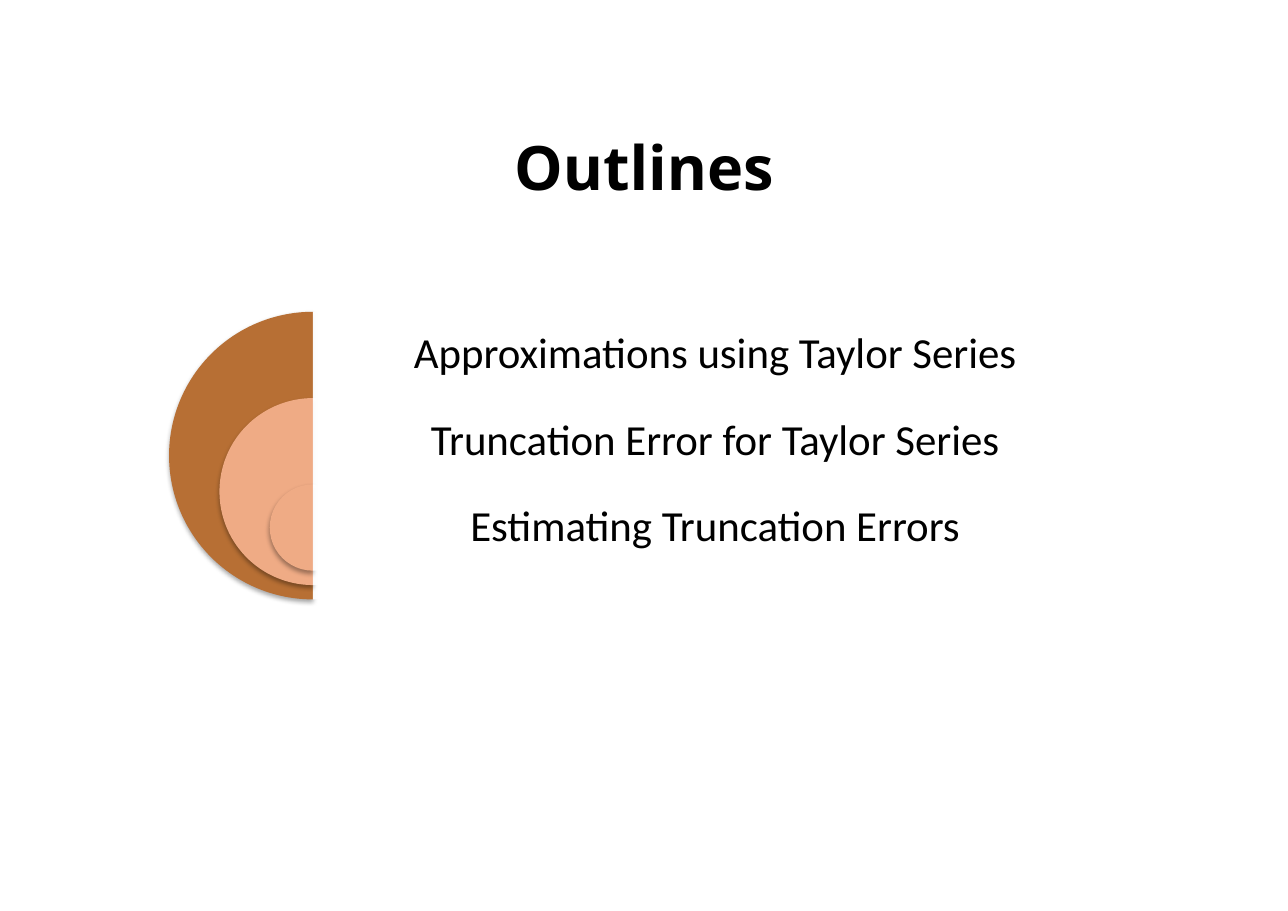
import pptx
import pptx.dml.color
import pptx.enum.shapes
import pptx.enum.text
import pptx.oxml
import pptx.oxml.ns
import pptx.util

Pt = pptx.util.Pt
SHAPE = pptx.enum.shapes.MSO_SHAPE
A_NS = pptx.oxml.ns.nsdecls("a")


def paint(fill, colour):
    fill.solid()
    fill.fore_color.rgb = pptx.dml.color.RGBColor.from_string(colour)


def add_text(left, top, width, height, margins, words, font_name, size, bold=False):
    box = slide.shapes.add_textbox(Pt(left), Pt(top), Pt(width), Pt(height))
    frame = box.text_frame
    frame.word_wrap = True
    frame.vertical_anchor = pptx.enum.text.MSO_ANCHOR.MIDDLE
    frame.margin_left = frame.margin_right = Pt(margins[0])
    frame.margin_top = frame.margin_bottom = Pt(margins[1])
    paragraph = frame.paragraphs[0]
    paragraph.alignment = pptx.enum.text.PP_ALIGN.CENTER
    run = paragraph.add_run()
    run.text = words
    run.font.name = font_name
    run.font.size = Pt(size)
    run.font.bold = bold
    paint(run.font.fill, "000000")
    return paragraph


deck = pptx.Presentation()
deck.slide_width = Pt(841.68)
deck.slide_height = Pt(595.44)
slide = deck.slides.add_slide(deck.slide_layouts[6])

# Title
add_text(102.2, 59, 637.2, 99.4, (7.9, 4.3), "Outlines", "Open Sans", 40, True)

# Nested half circles, each with a topic beside it
topics = [
    ("Approximations using Taylor Series", "B76F34"),
    ("Truncation Error for Taylor Series", "EFAB85"),
    ("Estimating Truncation Errors", "EFAB85"),
]
axis, first_top, panel_width = 204.5, 203.8, 525.6
row_height, largest, shrink = 56.4, 188, 65.8

for row, (topic, colour) in enumerate(topics):
    top = first_top + row * row_height
    diameter = largest - row * shrink

    # Left half of a circle with a soft shadow below
    half_circle = slide.shapes.add_shape(
        SHAPE.PIE, Pt(axis - diameter / 2), Pt(top), Pt(diameter), Pt(diameter))
    half_circle.adjustments[0] = 54
    half_circle.adjustments[1] = 162
    paint(half_circle.fill, colour)
    half_circle.line.fill.background()
    half_circle.shadow.inherit = False
    effects = half_circle.element.spPr.find(pptx.oxml.ns.qn("a:effectLst"))
    effects.append(pptx.oxml.parse_xml(
        f'<a:outerShdw {A_NS} blurRad="{Pt(3.1)}" dist="{Pt(1.8)}" dir="5400000" '
        'rotWithShape="0"><a:srgbClr val="000000"><a:alpha val="35000"/>'
        '</a:srgbClr></a:outerShdw>'))

    # Translucent white panel
    panel = slide.shapes.add_shape(
        SHAPE.RECTANGLE, Pt(axis), Pt(top), Pt(panel_width), Pt(diameter))
    paint(panel.fill, "FFFFFF")
    panel.line.fill.background()
    panel.shadow.inherit = False
    white = panel.element.spPr.find(".//" + pptx.oxml.ns.qn("a:srgbClr"))
    white.append(pptx.oxml.parse_xml(f'<a:alpha {A_NS} val="90000"/>'))

    # Topic
    paragraph = add_text(axis, top, panel_width, row_height, (8.4, 8.4),
                         topic, "Calibri", 28)
    paragraph.line_spacing = 0.9

deck.save("out.pptx")
